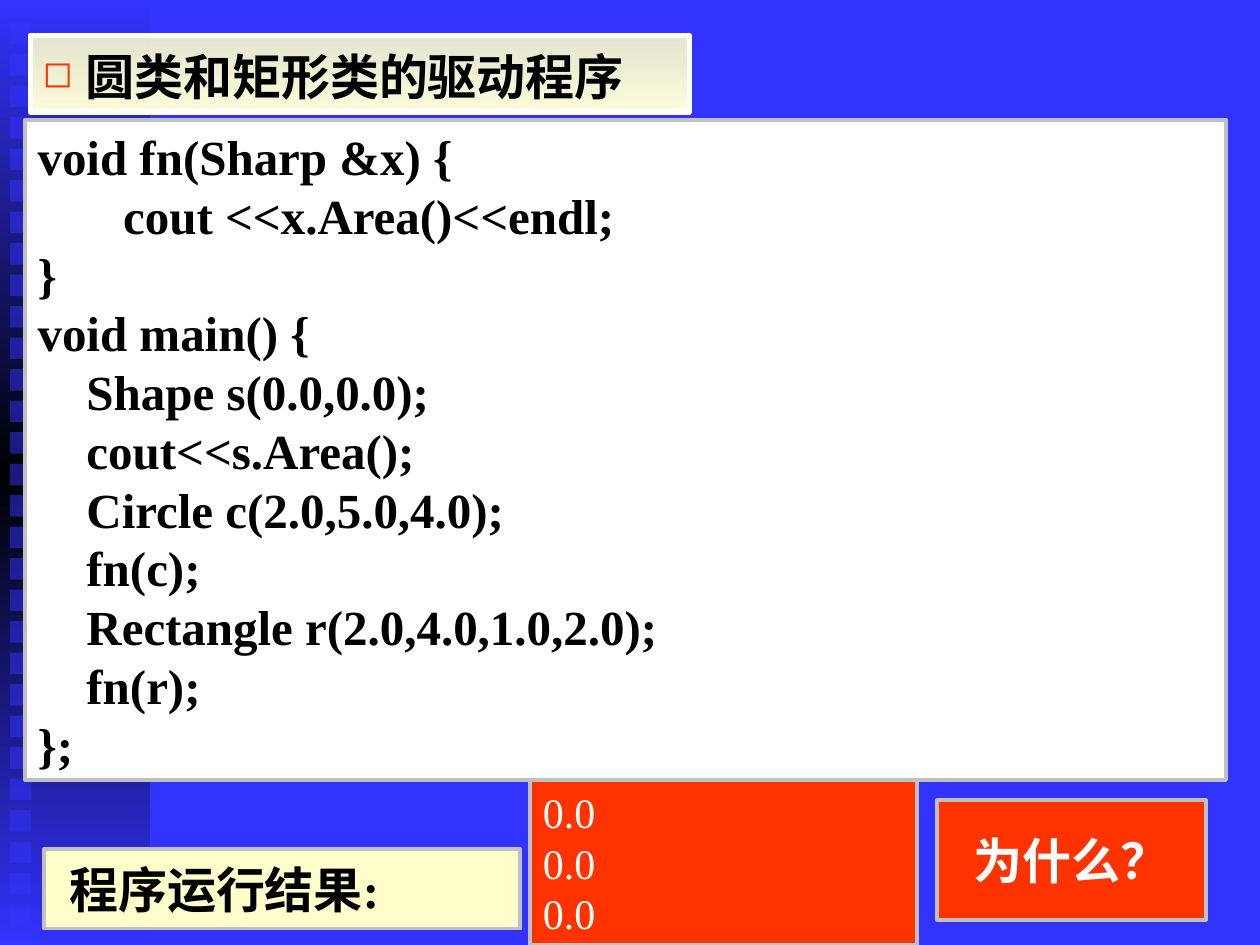
"""Build the slide showing the driver program for the circle and rectangle classes."""
from lxml.etree import SubElement
from pptx import Presentation
from pptx.dml.color import RGBColor
from pptx.enum.shapes import MSO_SHAPE
from pptx.enum.text import MSO_ANCHOR, PP_ALIGN
from pptx.oxml.ns import qn
from pptx.util import Inches, Pt

COLORS = {
    "blue": "3333FF", "black": "000000", "white": "FFFFFF", "silver": "C0C0C0",
    "cream": "FFFFCC", "ivory": "FFFFDB", "red": "FF3300",
}
FONT = "Times New Roman"
CODE = """void fn(Sharp &x) {
       cout <<x.Area()<<endl;
}
void main() {
    Shape s(0.0,0.0);
    cout<<s.Area();
    Circle c(2.0,5.0,4.0);
    fn(c);
    Rectangle r(2.0,4.0,1.0,2.0);
    fn(r);
};"""


def add_box(left, top, width, height, fill, line=None, line_width=2.25):
    box = page.shapes.add_shape(
        MSO_SHAPE.RECTANGLE, Inches(left), Inches(top), Inches(width), Inches(height))
    box.shadow.inherit = False
    box.fill.solid()
    box.fill.fore_color.rgb = RGBColor.from_string(COLORS[fill])
    if line:
        box.line.color.rgb = RGBColor.from_string(COLORS[line])
        box.line.width = Pt(line_width)
    else:
        box.line.fill.background()
    return box


def set_gradient(box, stops):
    box.fill.gradient()
    box.fill.gradient_angle = 270
    stop_list = box._element.spPr.find(qn("a:gradFill")).find(qn("a:gsLst"))
    stop_list.clear()
    for position, color, opacity in stops:
        stop = SubElement(stop_list, qn("a:gs"), pos=str(position * 1000))
        shade = SubElement(stop, qn("a:srgbClr"), val=COLORS[color])
        if opacity < 100:
            SubElement(shade, qn("a:alpha"), val=str(opacity * 1000))


deck = Presentation()
deck.slide_width, deck.slide_height = Inches(10), Inches(7.5)
page = deck.slides.add_slide(deck.slide_layouts[6])
page.background.fill.solid()
page.background.fill.fore_color.rgb = RGBColor.from_string(COLORS["blue"])

strip = add_box(0, 0, 1.19, 7.5, "blue")
set_gradient(strip, [(0, "blue", 100), (50, "black", 100), (100, "blue", 100)])
for index in range(29):
    square = add_box(0.08, 0.18 + 0.25 * index, 0.17, 0.17, "blue")
    shade = square._element.spPr.find(qn("a:solidFill")).find(qn("a:srgbClr"))
    SubElement(shade, qn("a:alpha"), val="50000")

code_box = add_box(0.2, 0.95, 9.53, 5.24, "white", "silver")
label_box = add_box(0.35, 6.74, 3.78, 0.63, "cream", "silver")
output_box = add_box(4.21, 6.19, 3.07, 1.31, "red", "silver")
question_box = add_box(7.44, 6.35, 2.13, 0.95, "red", "silver")
title_box = add_box(0.24, 0.28, 5.23, 0.61, "cream", "white", 3)
set_gradient(title_box, [(0, "cream", 87), (100, "ivory", 100)])

texts = [
    (code_box, CODE, 28, "black", True, PP_ALIGN.LEFT, 1.2),
    (label_box, "程序运行结果:", 28, "black", True, PP_ALIGN.LEFT, None),
    (output_box, "0.0\n0.0\n0.0", 24, "white", False, PP_ALIGN.LEFT, 1.2),
    (question_box, "为什么？", 28, "white", True, PP_ALIGN.CENTER, None),
    (title_box, "圆类和矩形类的驱动程序", 28, "black", True, PP_ALIGN.LEFT, None),
]
for box, text, size, color, bold, alignment, leading in texts:
    frame = box.text_frame
    frame.text = text
    frame.word_wrap = box in (label_box, title_box)
    frame.vertical_anchor = MSO_ANCHOR.MIDDLE
    for para in frame.paragraphs:
        para.alignment = alignment
        if leading:
            para.line_spacing = Pt(size * leading)
        for span in para.runs:
            span.font.name = FONT
            span.font.size = Pt(size)
            span.font.bold = bold
            span.font.color.rgb = RGBColor.from_string(COLORS[color])

label_box.text_frame.margin_left = Inches(0.2)
title_box.text_frame.margin_top = Inches(0.09)
properties = title_box.text_frame.paragraphs[0]._p.get_or_add_pPr()
properties.set("marL", str(Inches(0.34)))
properties.set("indent", str(-Inches(0.34)))
bullet_color = SubElement(properties, qn("a:buClr"))
SubElement(bullet_color, qn("a:srgbClr"), val=COLORS["red"])
SubElement(properties, qn("a:buSzPct"), val="75000")
SubElement(properties, qn("a:buChar"), char="◻")

deck.save("out.pptx")
